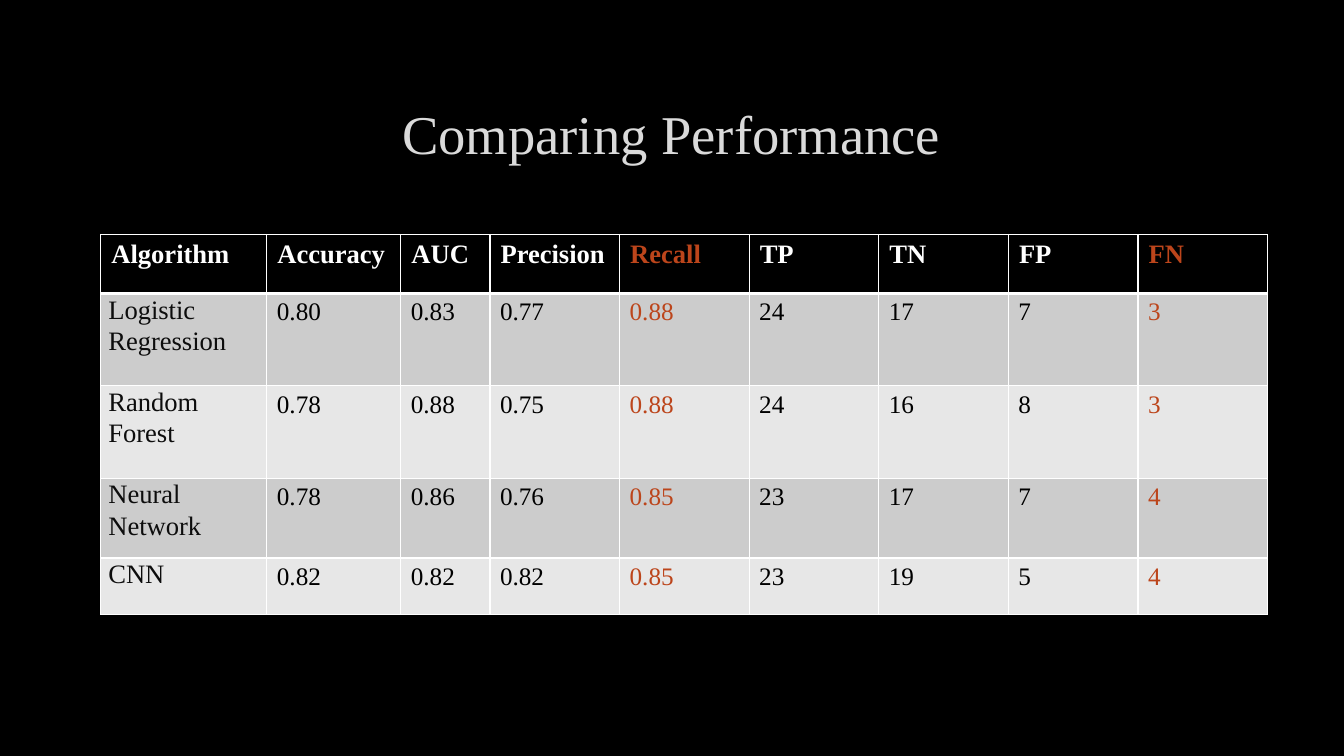
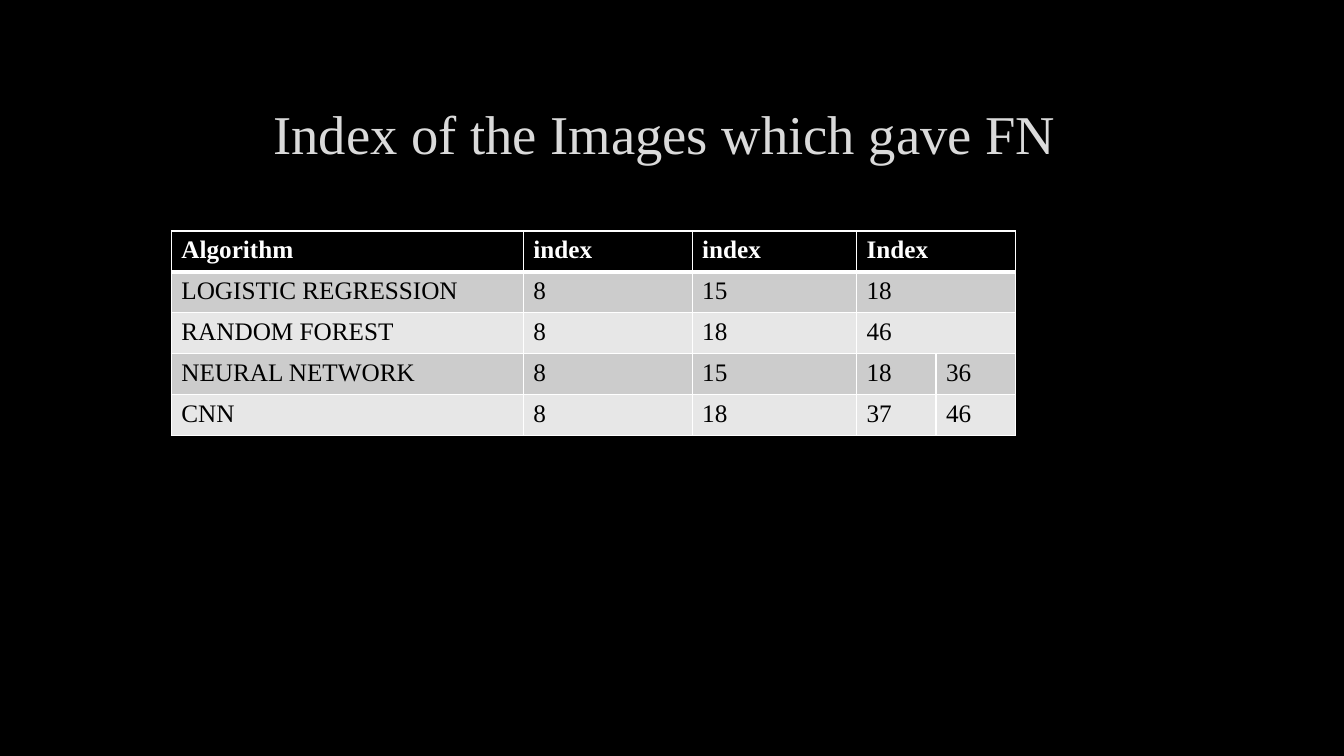
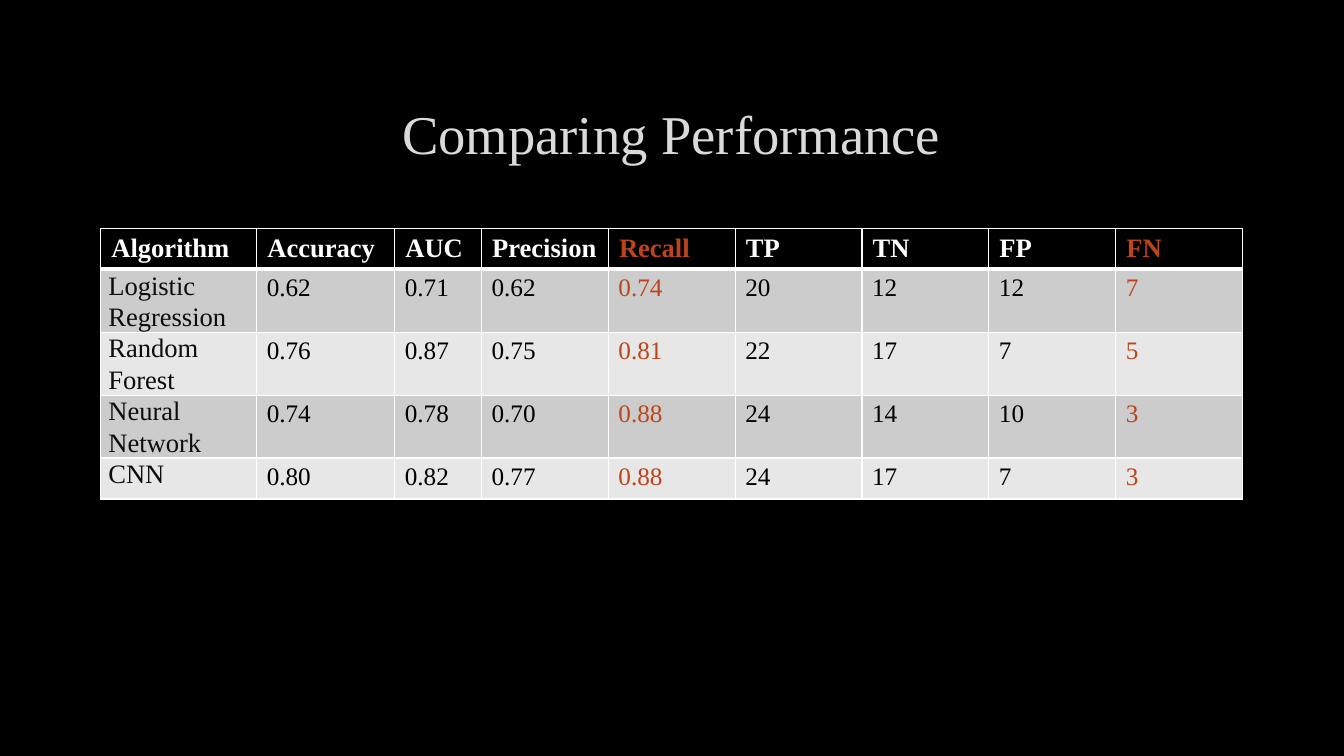
"""Build three slides comparing classifiers in tables."""
from lxml import etree
from pptx import Presentation
from pptx.dml.color import RGBColor
from pptx.enum import text
from pptx.oxml import ns
from pptx.util import Pt

FONT = "Times New Roman"
BLACK, WHITE, RED = "000000", "FFFFFF", "BC451B"
BANDS = ["E7E7E7", "CCCCCC"]
RED_HEADINGS = ("Recall", "FN")
HEADINGS = ("Algorithm", "Accuracy", "AUC", "Precision", "Recall", "TP", "TN", "FP", "FN")


def rgb(value):
    return RGBColor.from_string(value)


def add_line(parent, tag, width, color, alpha=100):
    ln = etree.Element(ns.qn(tag), w=str(Pt(width)))
    fill = etree.SubElement(ln, ns.qn("a:solidFill"))
    clr = etree.SubElement(fill, ns.qn("a:srgbClr"), val=color)
    if alpha < 100:
        etree.SubElement(clr, ns.qn("a:alpha"), val=str(alpha * 1000))
    parent.insert(0, ln)


slides = [
    {
        "title": "Comparing Performance",
        "at": (72, 167.4),
        "cols": [118.6, 95.7, 63.7] + [92.6] * 6,
        "rows": [42.2, 66, 66, 57, 40.4],
        "styled": True,
        "cells": [
            HEADINGS,
            ("Logistic Regression", "0.80", "0.83", "0.77", "0.88", "24", "17", "7", "3"),
            ("Random Forest", "0.78", "0.88", "0.75", "0.88", "24", "16", "8", "3"),
            ("Neural Network", "0.78", "0.86", "0.76", "0.85", "23", "17", "7", "4"),
            ("CNN", "0.82", "0.82", "0.82", "0.85", "23", "19", "5", "4"),
        ],
    },
    {
        "title": "Index of the Images which gave FN ",
        "at": (122.4, 165),
        "cols": [251.4, 120.6, 117.4, 56.8, 56.8],
        "rows": [29.2] * 5,
        "styled": False,
        "cells": [
            ("Algorithm", "index", "index", "Index"),
            ("LOGISTIC REGRESSION", "8", "15", "18"),
            ("RANDOM FOREST", "8", "18", "46"),
            ("NEURAL NETWORK", "8", "15", "18", "36"),
            ("CNN", "8", "18", "37", "46"),
        ],
    },
    {
        "title": "Comparing Performance",
        "at": (72, 163.2),
        "cols": [111.4, 98.6, 62] + [90.6] * 6,
        "rows": [29.2] * 5,
        "styled": True,
        "cells": [
            HEADINGS,
            ("Logistic Regression", "0.62", "0.71", "0.62", "0.74", "20", "12", "12", "7"),
            ("Random Forest", "0.76", "0.87", "0.75", "0.81", "22", "17", "7", "5"),
            ("Neural Network", "0.74", "0.78", "0.70", "0.88", "24", "14", "10", "3"),
            ("CNN", "0.80", "0.82", "0.77", "0.88", "24", "17", "7", "3"),
        ],
    },
]

prs = Presentation()
prs.slide_width, prs.slide_height = Pt(960), Pt(540)
background = prs.slide_master.background.fill
background.solid()
background.fore_color.rgb = rgb(BLACK)

for data in slides:
    s = prs.slides.add_slide(prs.slide_layouts[5])

    title = s.shapes.title
    title.left, title.top, title.width, title.height = Pt(72), Pt(48), Pt(815), Pt(99.4)
    tf = title.text_frame
    tf.text = data["title"]
    tf.word_wrap = True
    tf.auto_size = text.MSO_AUTO_SIZE.NONE
    tf.vertical_anchor = text.MSO_ANCHOR.MIDDLE
    p = tf.paragraphs[0]
    p.alignment = text.PP_ALIGN.CENTER
    p.line_spacing = 0.9
    r = p.runs[0]
    r.font.name, r.font.size = FONT, Pt(39)
    r.font.color.rgb = rgb("DADADA")
    add_line(r.font._element, "a:ln", 0.75, "404040", 10)

    cols, rows, cells = data["cols"], data["rows"], data["cells"]
    left, top = data["at"]
    table = s.shapes.add_table(len(rows), len(cols), Pt(left), Pt(top),
                               Pt(sum(cols)), Pt(sum(rows))).table
    for column, width in zip(table.columns, cols):
        column.width = Pt(width)
    for row, height in zip(table.rows, rows):
        row.height = Pt(height)

    for i, values in enumerate(cells):
        header = i == 0
        for j in range(len(cols)):
            cell = table.cell(i, j)
            cell.fill.solid()
            cell.fill.fore_color.rgb = rgb(BLACK if header else BANDS[i % 2])
            tcPr = cell._tc.get_or_add_tcPr()
            for side in "BTRL":
                thick = (i, side) in ((0, "B"), (1, "T"))
                add_line(tcPr, "a:ln" + side, 3 if thick else 1, WHITE)
            if j >= len(values):
                table.cell(i, j - 1).merge(cell)
                continue

            cell.text_frame.text = values[j]
            p = cell.text_frame.paragraphs[0]
            font = p.runs[0].font
            font.name, font.size, font.bold = FONT, Pt(18), header
            color = WHITE if header else BLACK
            if data["styled"] and header:
                cell.margin_left = cell.margin_right = Pt(7.6)
                font.size = Pt(19)
            elif data["styled"] and j == 0:
                cell.margin_left = cell.margin_right = Pt(5.4)
                cell.margin_top = cell.margin_bottom = 0
                p.alignment = text.PP_ALIGN.JUSTIFY
                p.line_spacing = 1.07
                font.size = Pt(19)
                color = "0D0D0D"
            if cells[0][min(j, len(cells[0]) - 1)] in RED_HEADINGS:
                color = RED
            font.color.rgb = rgb(color)

prs.save("out.pptx")
